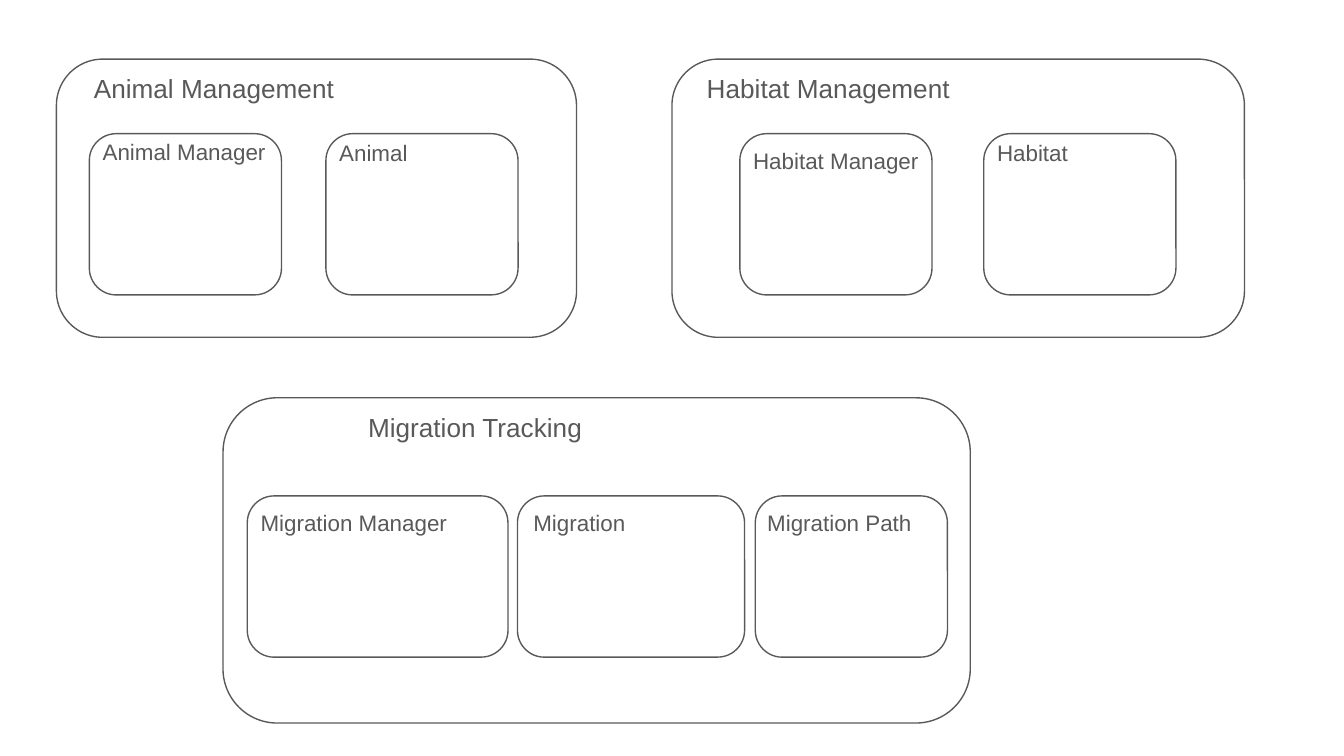
import pptx
import pptx.dml.color
import pptx.enum.shapes
import pptx.enum.text
import pptx.util

COLORS = {"paper": "FFFFFF", "ink": "595959"}
FONT = "Arial"
COLUMNS = 100  # square grid cells of a tenth of an inch
CLASS_HEIGHT = 12
CLASS_WIDTH = 14.3

# Each module: title, frame, title column, class row,
# and its classes as (name, column, width, label column, label row).
MODULES = [
    ("Animal Management", (4.2, 4.4, 38.7, 20.7), 6, 9.95, [
        ("Animal Manager", 6.65, CLASS_WIDTH, 6.65, 9.3),
        ("Animal", 24.25, CLASS_WIDTH, 24.25, 9.35),
    ]),
    ("Habitat Management", (50, 4.4, 42.6, 20.7), 51.6, 9.95, [
        ("Habitat Manager", 55.05, CLASS_WIDTH, 55.05, 9.95),
        ("Habitat", 73.2, CLASS_WIDTH, 73.2, 9.35),
    ]),
    ("Migration Tracking", (16.6, 29.6, 55.6, 24.2), 26.4, 36.9, [
        ("Migration Manager", 18.4, 19.4, 18.4, 36.9),
        ("Migration", 38.5, 16.9, 38.7, 36.9),
        ("Migration Path", 56.2, CLASS_WIDTH, 56.1, 36.9),
    ]),
]


class Diagram:
    """Draws boxes and labels on one slide, placed by grid columns and rows."""

    def __init__(self, presentation):
        self.slide = presentation.slides.add_slide(presentation.slide_layouts[6])
        self.cell = presentation.slide_width / COLUMNS

    def color(self, name):
        return pptx.dml.color.RGBColor.from_string(COLORS[name])

    def place(self, *area):
        """Turn grid units into slide lengths."""
        return [round(length * self.cell) for length in area]

    def box(self, *area):
        shape = self.slide.shapes.add_shape(
            pptx.enum.shapes.MSO_SHAPE.ROUNDED_RECTANGLE, *self.place(*area))
        shape.shadow.inherit = False
        shape.fill.solid()
        shape.fill.fore_color.rgb = self.color("paper")
        shape.line.color.rgb = self.color("ink")
        shape.line.width = pptx.util.Pt(0.75)

    def label(self, text, size, *area):
        shape = self.slide.shapes.add_textbox(*self.place(*area))
        frame = shape.text_frame
        frame.word_wrap = True
        frame.vertical_anchor = pptx.enum.text.MSO_ANCHOR.TOP
        frame.margin_left = frame.margin_right = pptx.util.Inches(0.1)
        frame.margin_top = frame.margin_bottom = pptx.util.Inches(0.1)
        run = frame.paragraphs[0].add_run()
        run.text = text
        run.font.name = FONT
        run.font.size = pptx.util.Pt(size)
        run.font.color.rgb = self.color("ink")

    def module(self, title, frame, title_column, class_row, classes):
        self.box(*frame)
        self.label(title, 14, title_column, frame[1], 27.8, 3.7)
        for name, column, width, label_column, label_row in classes:
            self.box(column, class_row, width, CLASS_HEIGHT)
            self.label(name, 12, label_column, label_row, 18.8, 4)


def main():
    presentation = pptx.Presentation()
    presentation.slide_width = pptx.util.Inches(10)
    presentation.slide_height = presentation.slide_width * 9 // 16
    diagram = Diagram(presentation)
    for module in MODULES:
        diagram.module(*module)
    presentation.save("out.pptx")


if __name__ == "__main__":
    main()
